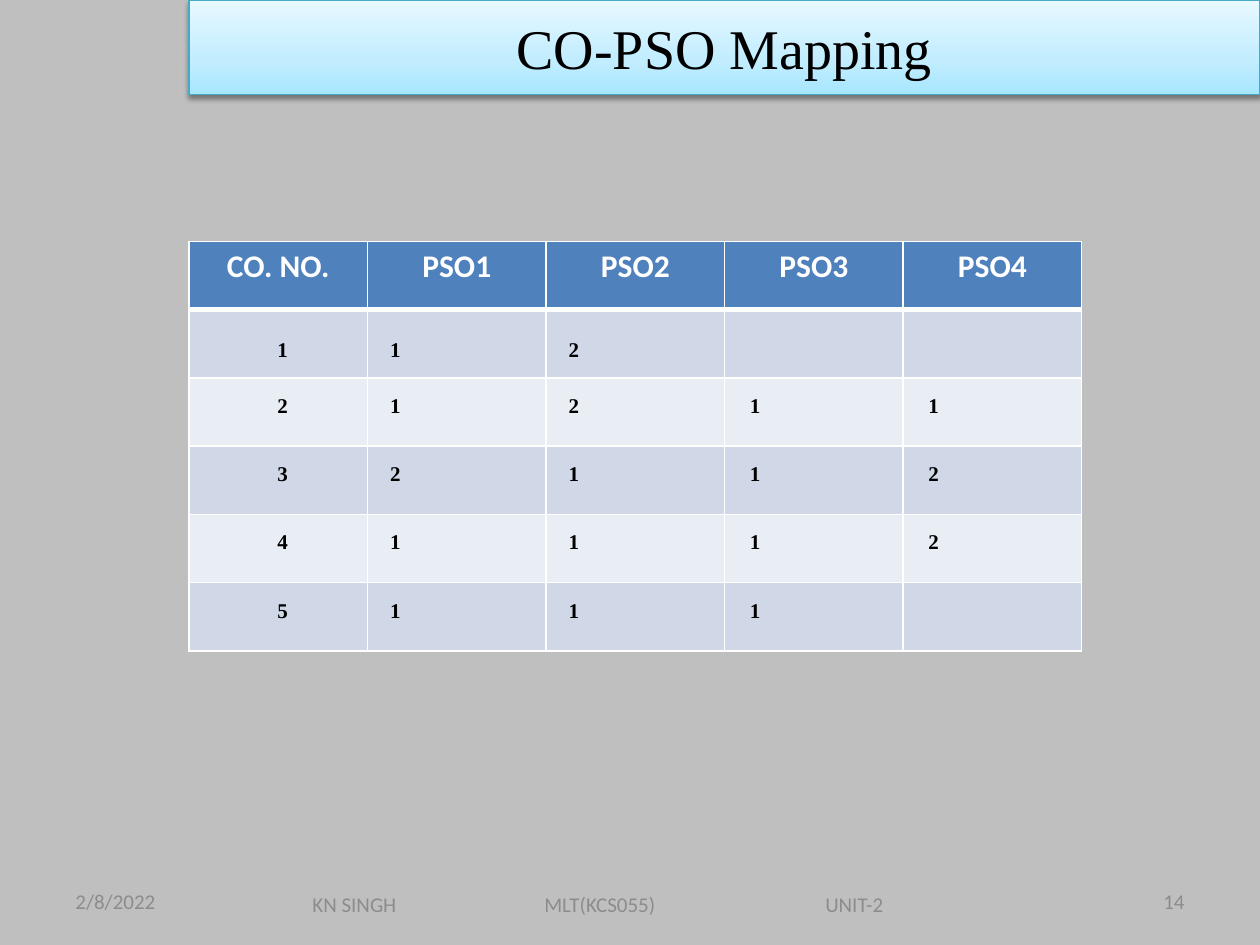
import copy

import lxml.etree
import pptx
import pptx.dml.color
import pptx.enum.dml
import pptx.enum.text
import pptx.oxml
import pptx.oxml.ns
import pptx.util

RGBColor = pptx.dml.color.RGBColor
BACKGROUND = RGBColor(0xBF, 0xBF, 0xBF)
BLACK = RGBColor(0, 0, 0)
WHITE = RGBColor(0xFF, 0xFF, 0xFF)
FOOTER_GRAY = RGBColor(0x8C, 0x8C, 0x8C)
TITLE_EDGE = RGBColor(0x46, 0xAA, 0xC5)
TITLE_STOPS = [
    (0, RGBColor(0xA7, 0xE6, 0xFF)),
    (0.35, RGBColor(0xC1, 0xED, 0xFF)),
    (1, RGBColor(0xE7, 0xF8, 0xFF)),
]
HEADER_BLUE = RGBColor(0x4F, 0x81, 0xBD)
BAND_COLORS = [RGBColor(0xD0, 0xD8, 0xE8), RGBColor(0xE9, 0xED, 0xF4)]

ALIGN = pptx.enum.text.PP_ALIGN
MIDDLE = pptx.enum.text.MSO_ANCHOR.MIDDLE
SANS = "Calibri"
SERIF = "Times New Roman"
GRID_COLUMNS = 20
GRID_ROWS = 30

MAPPING = [
    ["CO. NO.", "PSO1", "PSO2", "PSO3", "PSO4"],
    ["1", "1", "2", "", ""],
    ["2", "1", "2", "1", "1"],
    ["3", "2", "1", "1", "2"],
    ["4", "1", "1", "1", "2"],
    ["5", "1", "1", "1", ""],
]
CELL_INDENTS = [0.07, 0.18, 0.18, 0.2, 0.2]


class SlideBuilder:
    def __init__(self, presentation):
        self.column = presentation.slide_width / GRID_COLUMNS
        self.row = presentation.slide_height / GRID_ROWS
        self.slide = presentation.slides.add_slide(presentation.slide_layouts[5])
        fill = self.slide.background.fill
        fill.solid()
        fill.fore_color.rgb = BACKGROUND

    def box(self, left, top, width, height):
        return (
            round(left * self.column),
            round(top * self.row),
            round(width * self.column),
            round(height * self.row),
        )

    def format_text(self, paragraph, font_name, size, color, align, bold=False):
        paragraph.alignment = align
        for run in paragraph.runs:
            run.font.name = font_name
            run.font.size = pptx.util.Pt(size)
            run.font.color.rgb = color
            run.font.bold = bold

    def title(self, text, *area):
        shape = self.slide.shapes.title
        shape.left, shape.top, shape.width, shape.height = self.box(*area)
        shape.text_frame.text = text
        shape.text_frame.auto_size = pptx.enum.text.MSO_AUTO_SIZE.NONE
        shape.text_frame.vertical_anchor = MIDDLE
        self.format_text(shape.text_frame.paragraphs[0], SERIF, 32, BLACK, ALIGN.CENTER)
        shape.fill.gradient()
        shape.fill.gradient_angle = 90
        properties = shape._element.spPr
        stop_list = properties.xpath(".//a:gsLst")[0]
        stop_list.append(copy.deepcopy(stop_list[-1]))
        for stop, (position, color) in zip(shape.fill.gradient_stops, TITLE_STOPS):
            stop.position = position
            stop.color.rgb = color
        shape.line.color.rgb = TITLE_EDGE
        shape.line.width = pptx.util.Pt(0.75)
        properties.append(pptx.oxml.parse_xml(
            f'<a:effectLst {pptx.oxml.ns.nsdecls("a")}>'
            f'<a:outerShdw blurRad="{pptx.util.Pt(3.1)}" dist="{pptx.util.Pt(1.6)}" '
            'dir="5400000" rotWithShape="0"><a:srgbClr val="000000">'
            '<a:alpha val="38000"/></a:srgbClr></a:outerShdw></a:effectLst>'
        ))

    def footer(self, text, area, align=ALIGN.LEFT, inset=0.1, tabs=()):
        frame = self.slide.shapes.add_textbox(*self.box(*area)).text_frame
        frame.word_wrap = True
        frame.vertical_anchor = MIDDLE
        frame.margin_left = pptx.util.Inches(inset)
        paragraph = frame.paragraphs[0]
        paragraph.text = text
        if tabs:
            properties = paragraph._p.get_or_add_pPr()
            tab_list = lxml.etree.SubElement(properties, pptx.oxml.ns.qn("a:tabLst"))
            for position in tabs:
                tab = lxml.etree.SubElement(tab_list, pptx.oxml.ns.qn("a:tab"))
                tab.set("pos", str(pptx.util.Inches(position)))
                tab.set("algn", "l")
        self.format_text(paragraph, SANS, 12, FOOTER_GRAY, align)

    def cell_borders(self, cell, top, bottom):
        properties = cell._tc.get_or_add_tcPr()
        widths = {"lnL": 1, "lnR": 1, "lnT": top, "lnB": bottom}
        for index, (side, width) in enumerate(widths.items()):
            properties.insert(index, pptx.oxml.parse_xml(
                f'<a:{side} {pptx.oxml.ns.nsdecls("a")} w="{pptx.util.Pt(width)}">'
                f'<a:solidFill><a:srgbClr val="{WHITE}"/></a:solidFill></a:{side}>'
            ))

    def table(self, values, *area):
        row_count, column_count = len(values), len(values[0])
        table = self.slide.shapes.add_table(row_count, column_count, *self.box(*area)).table
        for row_index, row in enumerate(values):
            for column_index, text in enumerate(row):
                cell = table.cell(row_index, column_index)
                cell.text_frame.text = text
                cell.fill.solid()
                self.cell_borders(cell, 3 if row_index == 1 else 1, 3 if row_index == 0 else 1)
                if row_index == 0:
                    cell.fill.fore_color.rgb = HEADER_BLUE
                    self.format_text(cell.text_frame.paragraphs[0], SANS, 18, WHITE, ALIGN.CENTER, True)
                else:
                    cell.fill.fore_color.rgb = BAND_COLORS[(row_index - 1) % 2]
                    self.format_body_cell(cell, row_index, column_index)

    def format_body_cell(self, cell, row_index, column_index):
        first_row = row_index == 1
        cell.margin_left = pptx.util.Inches(CELL_INDENTS[column_index])
        cell.margin_top = pptx.util.Inches(0.2 if first_row else 0.16)
        cell.margin_right = cell.margin_bottom = 0
        paragraph = cell.text_frame.paragraphs[0]
        paragraph.line_spacing = 1.15 if first_row else pptx.util.Pt(11.4)
        align = ALIGN.CENTER if column_index == 0 else ALIGN.LEFT
        self.format_text(paragraph, SERIF, 12, BLACK, align, True)


def main():
    presentation = pptx.Presentation()
    presentation.slide_width = pptx.util.Inches(10)
    presentation.slide_height = pptx.util.Inches(7.5)
    builder = SlideBuilder(presentation)
    builder.footer("2/8/2022", (1, 27.8, 4.67, 1.6))
    builder.footer("14", (14.33, 27.8, 4.67, 1.6), ALIGN.RIGHT)
    builder.title("CO-PSO Mapping", 3, 0, 17, 3)
    builder.footer("KN SINGH\tMLT(KCS055)\tUNIT-2", (3, 28, 13, 1.4), inset=0.98, tabs=(1.84, 4.07))
    builder.table(MAPPING, 3, 7.67, 14.17, 13)
    presentation.save("out.pptx")


if __name__ == "__main__":
    main()
